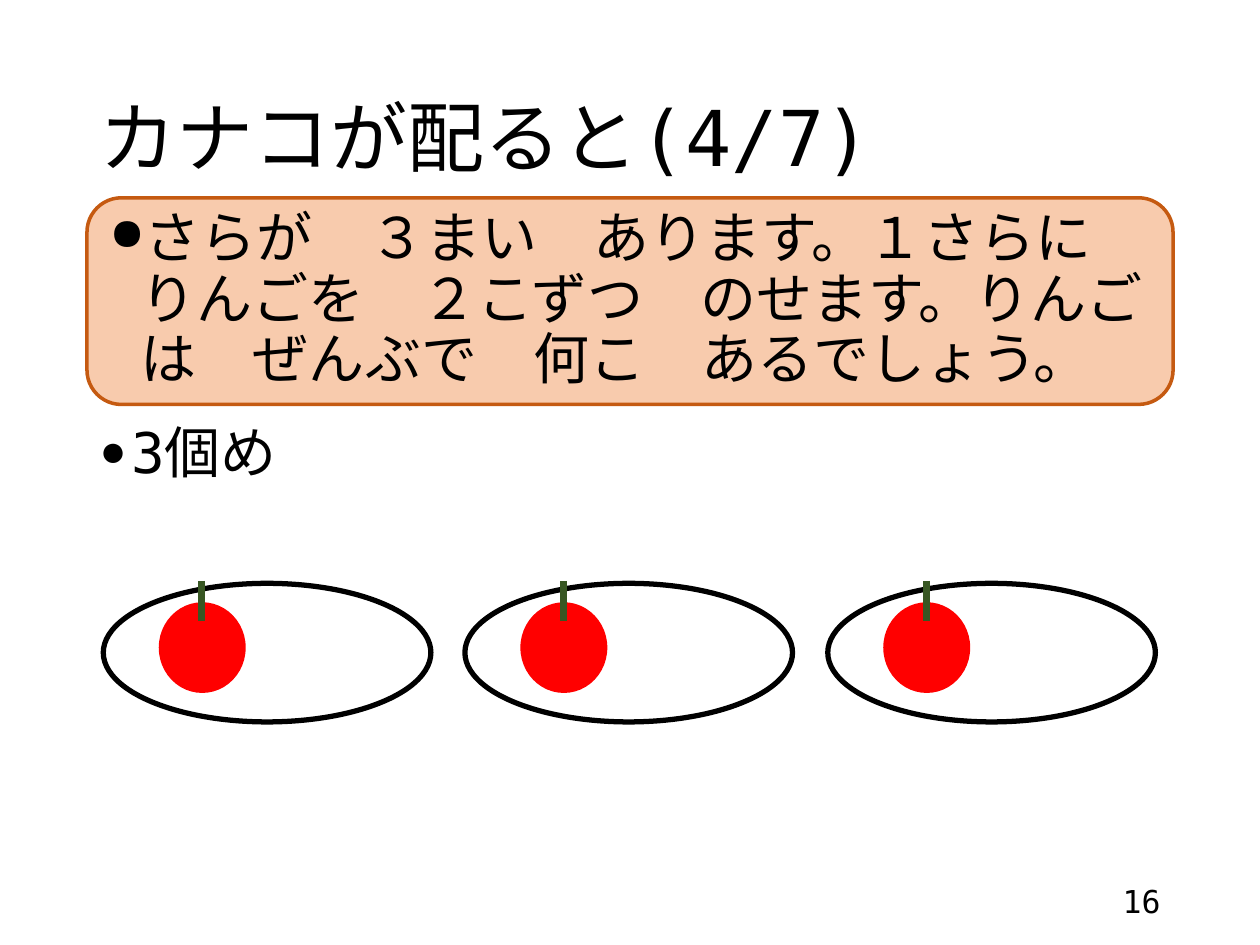
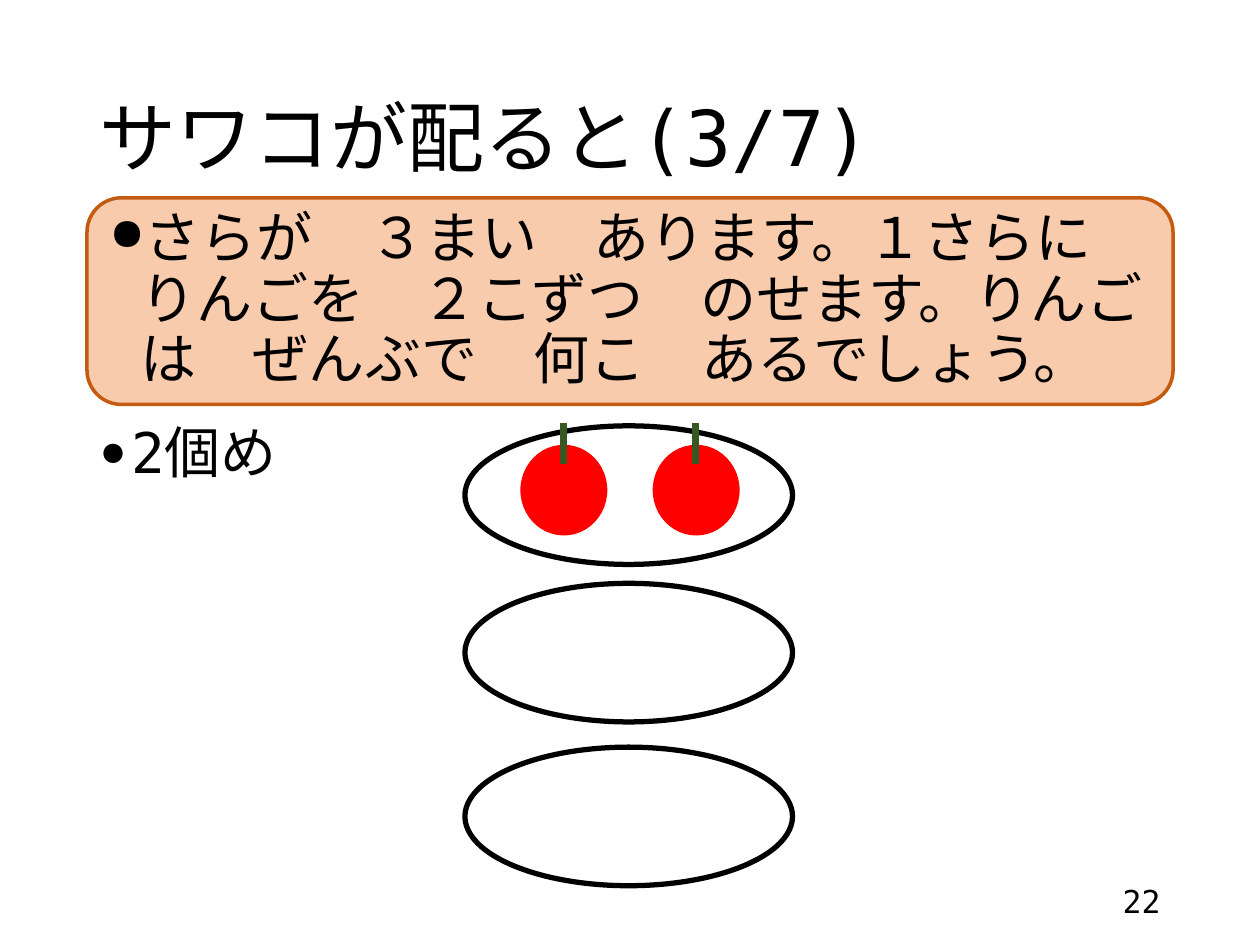
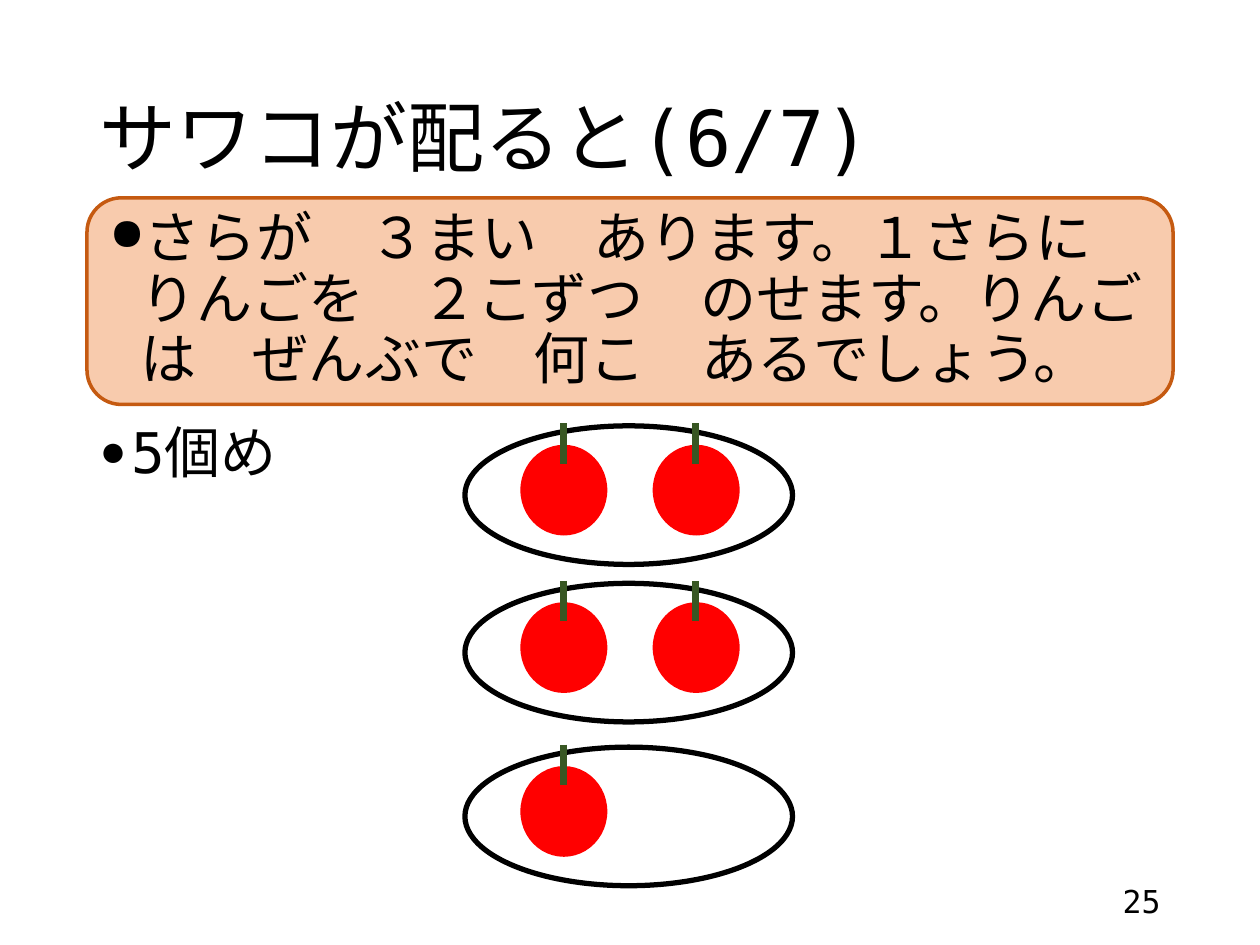
from lxml.etree import SubElement
from pptx import Presentation
from pptx.dml.color import RGBColor
from pptx.enum.lang import MSO_LANGUAGE_ID as LANG
from pptx.enum.shapes import MSO_CONNECTOR, MSO_SHAPE
from pptx.enum.text import MSO_ANCHOR, MSO_AUTO_SIZE, PP_ALIGN
from pptx.oxml.ns import qn
from pptx.util import Inches, Pt

FONT = "DejaVu Sans Mono"
COLORS = {name: RGBColor.from_string(value) for name, value in {
    "text": "000000", "plate": "FFFFFF", "plate_line": "000000", "apple": "FF0000",
    "stem": "385723", "problem": "F8CBAD", "problem_line": "C55A11",
}.items()}
PROBLEM = "さらが　３まい　あります。１さらに　りんごを　２こずつ　のせます。りんごは　ぜんぶで　何こ　あるでしょう。"
ROW = [(0.82, 4.63), (3.69, 4.63), (6.57, 4.63)]
COLUMN = [(3.69, 3.38), (3.69, 4.63), (3.69, 5.93)]
APPLE_OFFSETS = [0.44, 1.49]
SLIDES = [
    ("カナコが配ると(4/7)", "3個め", "16", ROW, [1, 1, 1]),
    ("サワコが配ると(3/7)", "2個め", "22", COLUMN, [2, 0, 0]),
    ("サワコが配ると(6/7)", "5個め", "25", COLUMN, [2, 2, 1]),
]


def set_text(sp, text, size, anchor, align=PP_ALIGN.LEFT, bullet=False, spacing=0.9):
    tf = sp.text_frame
    tf.text = text
    tf.word_wrap = True
    tf.auto_size = MSO_AUTO_SIZE.NONE
    tf.vertical_anchor = anchor
    p = tf.paragraphs[0]
    if bullet:
        pPr = p._p.get_or_add_pPr()
        pPr.set("marL", str(Inches(0.25)))
        pPr.set("indent", str(Inches(-0.25)))
        SubElement(pPr, qn("a:buSzPct"), val="80000")
        SubElement(pPr, qn("a:buChar"), char="●")
    p.alignment = align
    p.line_spacing = spacing
    p.space_before = Pt(0)
    font = p.runs[0].font
    font.name = FONT
    font.size = Pt(size)
    font.color.rgb = COLORS["text"]
    font.language_id = LANG.JAPANESE


def add_filled(shapes, kind, x, y, w, h, fill, line=None, width=0):
    sp = shapes.add_shape(kind, Inches(x), Inches(y), Inches(w), Inches(h))
    sp.shadow.inherit = False
    sp.fill.solid()
    sp.fill.fore_color.rgb = COLORS[fill]
    if line:
        sp.line.color.rgb = COLORS[line]
        sp.line.width = Pt(width)
    else:
        sp.line.fill.background()
    return sp


prs = Presentation()
prs.slide_width = Inches(10)
prs.slide_height = Inches(7.5)

for title, step, number, plates, counts in SLIDES:
    s = prs.slides.add_slide(prs.slide_layouts[1])
    title_sp, body = s.shapes.title, s.placeholders[1]
    page = s.shapes.add_textbox(0, 0, 0, 0)
    for sp, top, left, width, height in [
        (title_sp, 0.4, 0.69, 8.62, 1.45),
        (body, 3.32, 0.69, 8.62, 3.43),
        (page, 6.95, 7.06, 2.25, 0.4),
    ]:
        sp.left, sp.top = Inches(left), Inches(top)
        sp.width, sp.height = Inches(width), Inches(height)
    set_text(title_sp, title, 44, MSO_ANCHOR.MIDDLE)
    set_text(body, step, 32, MSO_ANCHOR.TOP, bullet=True)
    set_text(page, number, 18, MSO_ANCHOR.MIDDLE, PP_ALIGN.RIGHT, spacing=1.0)

    problem = add_filled(s.shapes, MSO_SHAPE.ROUNDED_RECTANGLE, 0.69, 1.57, 8.62, 1.64,
                         "problem", "problem_line", 2)
    set_text(problem, PROBLEM, 32, MSO_ANCHOR.MIDDLE, bullet=True)

    for (x, y), count in zip(plates, counts):
        add_filled(s.shapes, MSO_SHAPE.OVAL, x, y, 2.6, 1.1, "plate", "plate_line", 3)
        for offset in APPLE_OFFSETS[:count]:
            apple = s.shapes.add_group_shape().shapes
            add_filled(apple, MSO_SHAPE.OVAL, x + offset, y + 0.15, 0.69, 0.72, "apple")
            stem_x = Inches(x + offset + 0.34)
            stem = apple.add_connector(MSO_CONNECTOR.STRAIGHT, stem_x, Inches(y - 0.02),
                                       stem_x, Inches(y + 0.3))
            stem.line.color.rgb = COLORS["stem"]
            stem.line.width = Pt(4)
            SubElement(stem._element.spPr, qn("a:effectLst"))

prs.save("out.pptx")
